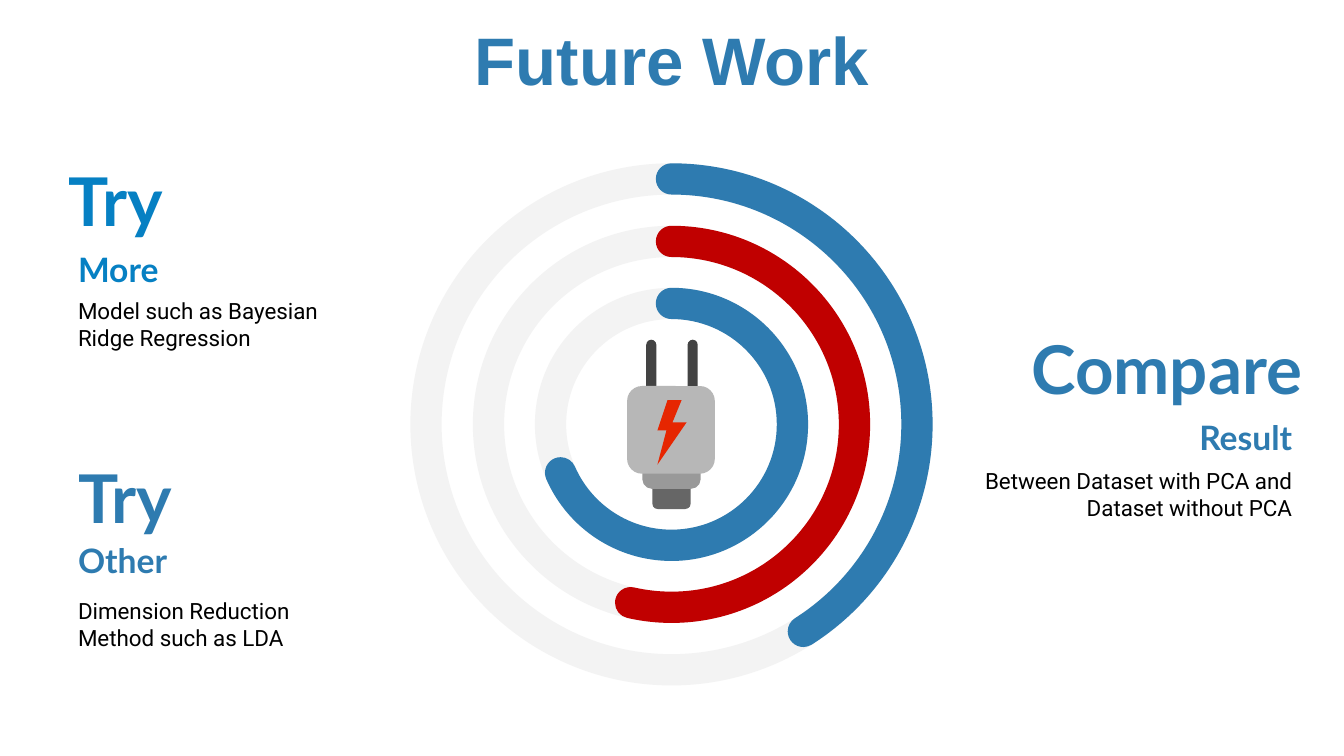
from math import ceil, cos, floor, radians, sin, tan

from pptx import Presentation
from pptx.dml.color import RGBColor
from pptx.enum.shapes import MSO_SHAPE
from pptx.enum.text import MSO_ANCHOR, PP_ALIGN
from pptx.oxml.ns import qn
from pptx.util import Inches, Pt

BLUE, BRIGHT_BLUE, RED, BLACK = "2E7BB0", "0680C3", "C00000", "000000"
TRACK, PRONG, BODY, COLLAR, CABLE, BOLT = "F3F3F3", "434343", "B7B7B7", "999999", "666666", "E62601"
CENTER_X, CENTER_Y, BAND = 6.66, 4.21, 0.31
INSET = 0.4 / 3


def color(hex_code):
    return RGBColor.from_string(hex_code)


def on_circle(x, y, radius, angle):
    """Return the point at an angle in degrees clockwise from twelve o'clock."""
    return x + radius * sin(radians(angle)), y - radius * cos(radians(angle))


def arc_curves(x, y, radius, start, end):
    """Return Bezier points, three per curve, for an arc cut at the quarter marks."""
    low, high = sorted((start, end))
    quarters = [90 * n for n in range(floor(low / 90) + 1, ceil(high / 90))]
    stops = sorted([low, *quarters, high], reverse=start > end)
    points = []
    for first, last in zip(stops, stops[1:]):
        reach = radius * 4 / 3 * tan(radians(last - first) / 4)
        (x1, y1), (x2, y2) = (on_circle(x, y, radius, angle) for angle in (first, last))
        a, b = radians(first), radians(last)
        points += [(x1 + reach * cos(a), y1 + reach * sin(a)),
                   (x2 - reach * cos(b), y2 - reach * sin(b)), (x2, y2)]
    return points


class SlidePainter:
    """Draws the elements of one slide in a shared style."""

    def __init__(self, slide):
        self.shapes = slide.shapes

    def paint(self, shape, fill):
        shape.shadow.inherit = False
        shape.fill.solid()
        shape.fill.fore_color.rgb = color(fill)
        shape.line.fill.background()

    def outline(self, points, fill):
        corners = [(Inches(x), Inches(y)) for x, y in points]
        builder = self.shapes.build_freeform(*corners[0])
        builder.add_line_segments(corners[1:], close=True)
        shape = builder.convert_to_shape()
        self.paint(shape, fill)
        return shape

    def curved_outline(self, points, fill):
        shape = self.outline(points, fill)
        segments = list(shape.element.iter(qn("a:lnTo")))
        for curve, *others in zip(segments[::3], segments[1::3], segments[2::3]):
            curve.tag = qn("a:cubicBezTo")
            for segment in others:
                curve.append(segment[0])
                segment.getparent().remove(segment)

    def preset(self, kind, left, top, width, height, adjustment, fill):
        shape = self.shapes.add_shape(kind, Inches(left), Inches(top), Inches(width), Inches(height))
        shape.adjustments[0] = adjustment
        self.paint(shape, fill)

    def track(self, size):
        self.preset(MSO_SHAPE.DONUT, CENTER_X - size / 2, CENTER_Y - size / 2,
                    size, size, BAND / size, TRACK)

    def progress(self, size, end, fill):
        radius, cap = size / 2, BAND / 2
        middle = radius - cap
        tip = on_circle(CENTER_X, CENTER_Y, middle, end)
        points = [(CENTER_X, CENTER_Y - radius)]
        points += arc_curves(CENTER_X, CENTER_Y, radius, 0, end)
        points += arc_curves(*tip, cap, end, end + 180)
        points += arc_curves(CENTER_X, CENTER_Y, radius - BAND, end, 0)
        points += arc_curves(CENTER_X, CENTER_Y - middle, cap, 180, 360)
        self.curved_outline(points, fill)

    def text(self, parent, box, words, size, font, fill, align=PP_ALIGN.LEFT,
             anchor=MSO_ANCHOR.TOP, bold=False, spacing=None, after=None, inset=None):
        frame = parent.add_textbox(*map(Inches, box)).text_frame
        frame.word_wrap = True
        frame.vertical_anchor = anchor
        if inset is not None:
            frame.margin_left = frame.margin_right = Inches(inset)
            frame.margin_top = frame.margin_bottom = Inches(inset)
        paragraph = frame.paragraphs[0]
        paragraph.alignment = align
        if spacing is not None:
            paragraph.line_spacing = spacing
        if after is not None:
            paragraph.space_after = Pt(after)
        run = paragraph.add_run()
        run.text = words
        run.font.size, run.font.name, run.font.bold = Pt(size), font, bold
        run.font.color.rgb = color(fill)

    def plan(self, headline, subhead, detail, fill, align):
        group = self.shapes.add_group_shape().shapes
        words, box = detail
        self.text(group, box, words, 16, "Roboto", BLACK, align, MSO_ANCHOR.MIDDLE, inset=INSET)
        for (words, box), size in ((headline, 48), (subhead, 24)):
            self.text(group, box, words, size, "Lato", fill, align,
                      bold=True, spacing=1.15, after=21.3, inset=INSET)


def main():
    deck = Presentation()
    deck.slide_width, deck.slide_height = Inches(13.33), Inches(7.5)
    painter = SlidePainter(deck.slides.add_slide(deck.slide_layouts[6]))

    rings = [(5.18, 147.5, BLUE), (3.94, 192.9, RED), (2.71, 246.4, BLUE)]
    for size, _, _ in rings:
        painter.track(size)
    for ring in rings:
        painter.progress(*ring)

    painter.plan(("Try", (0.55, 1.33, 2.65, 0.85)), ("More", (0.64, 2.28, 1.91, 0.56)),
                 ("Model such as Bayesian Ridge Regression", (0.64, 2.72, 2.81, 0.99)),
                 BRIGHT_BLUE, PP_ALIGN.LEFT)
    painter.plan(("Try", (0.64, 4.27, 1.91, 0.84)), ("Other", (0.64, 5.16, 1.91, 0.56)),
                 ("Dimension Reduction Method such as LDA", (0.64, 5.67, 2.81, 1.04)),
                 BLUE, PP_ALIGN.LEFT)
    painter.plan(("Compare", (9.67, 2.99, 3.38, 0.84)), ("Result", (11.04, 3.94, 1.91, 0.56)),
                 ("Between Dataset with PCA and Dataset without PCA", (9.63, 4.38, 3.32, 1.04)),
                 BLUE, PP_ALIGN.RIGHT)

    plug_parts = [
        (6.47, 4.67, 0.38, 0.38, 0.14, CABLE),
        (6.41, 3.37, 0.1, 0.71, 0.5, PRONG),
        (6.82, 3.37, 0.1, 0.71, 0.5, PRONG),
        (6.37, 4.27, 0.58, 0.58, 0.17, COLLAR),
        (6.22, 3.83, 0.87, 0.87, 0.17, BODY),
    ]
    for part in plug_parts:
        painter.preset(MSO_SHAPE.ROUNDED_RECTANGLE, *part)
    painter.outline([(6.62, 3.97), (6.52, 4.27), (6.61, 4.27), (6.52, 4.61),
                     (6.81, 4.19), (6.67, 4.19), (6.76, 3.97)], BOLT)

    painter.text(painter.shapes, (0, 0.21, 13.33, 0.85), "Future Work", 48, "Arial", BLUE,
                 PP_ALIGN.CENTER, MSO_ANCHOR.MIDDLE, bold=True, spacing=0.9)
    deck.save("out.pptx")


if __name__ == "__main__":
    main()
